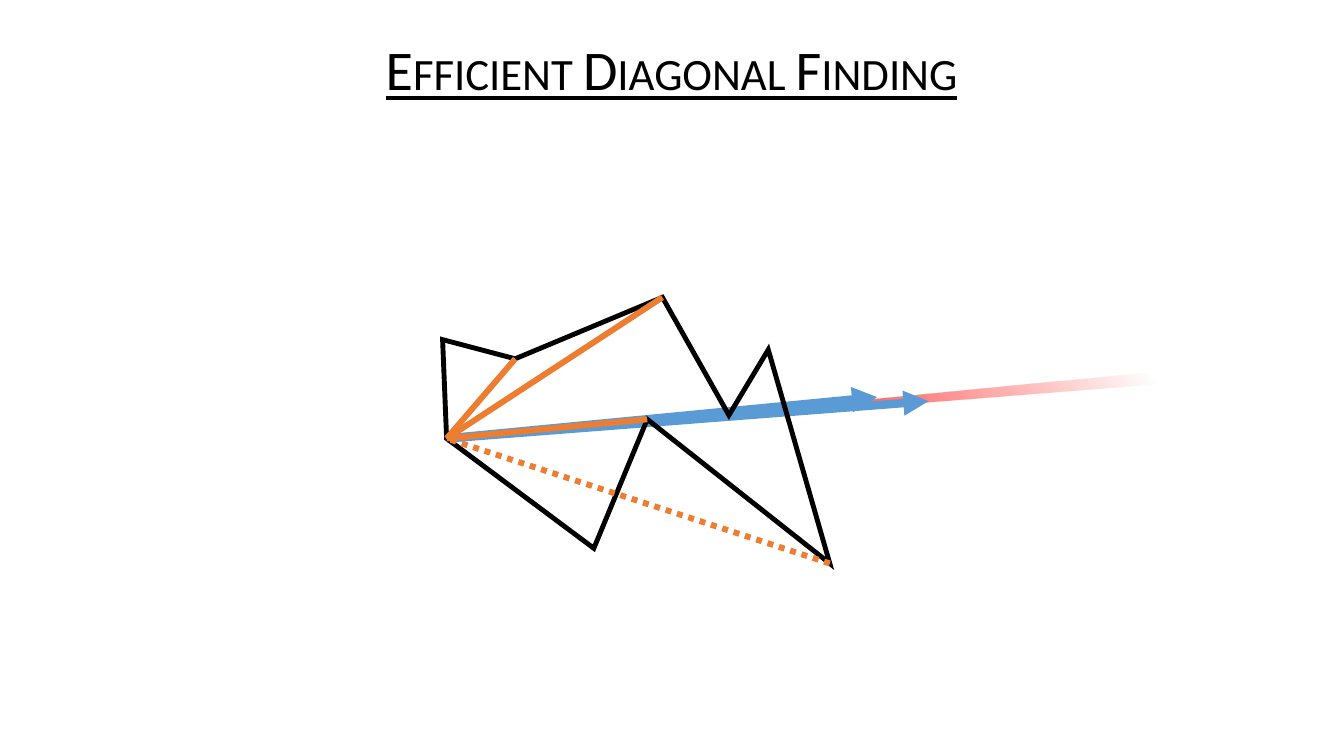
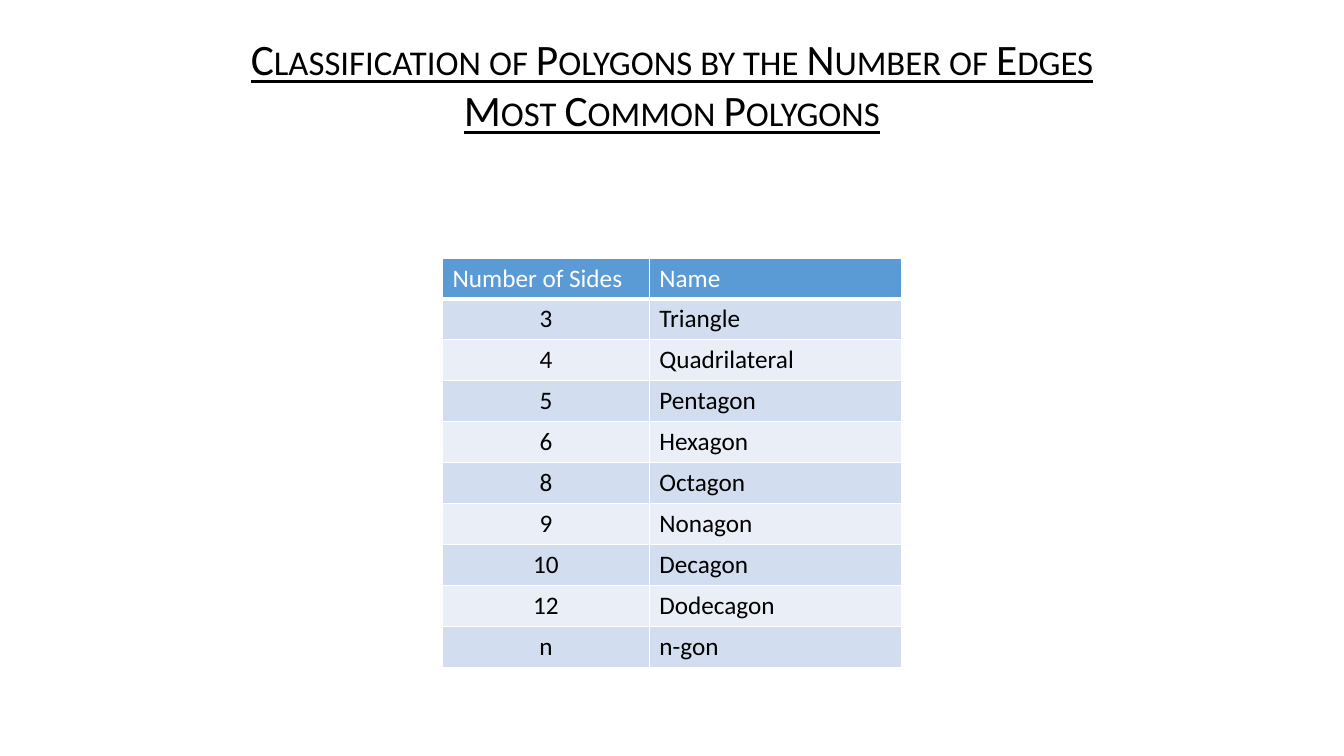
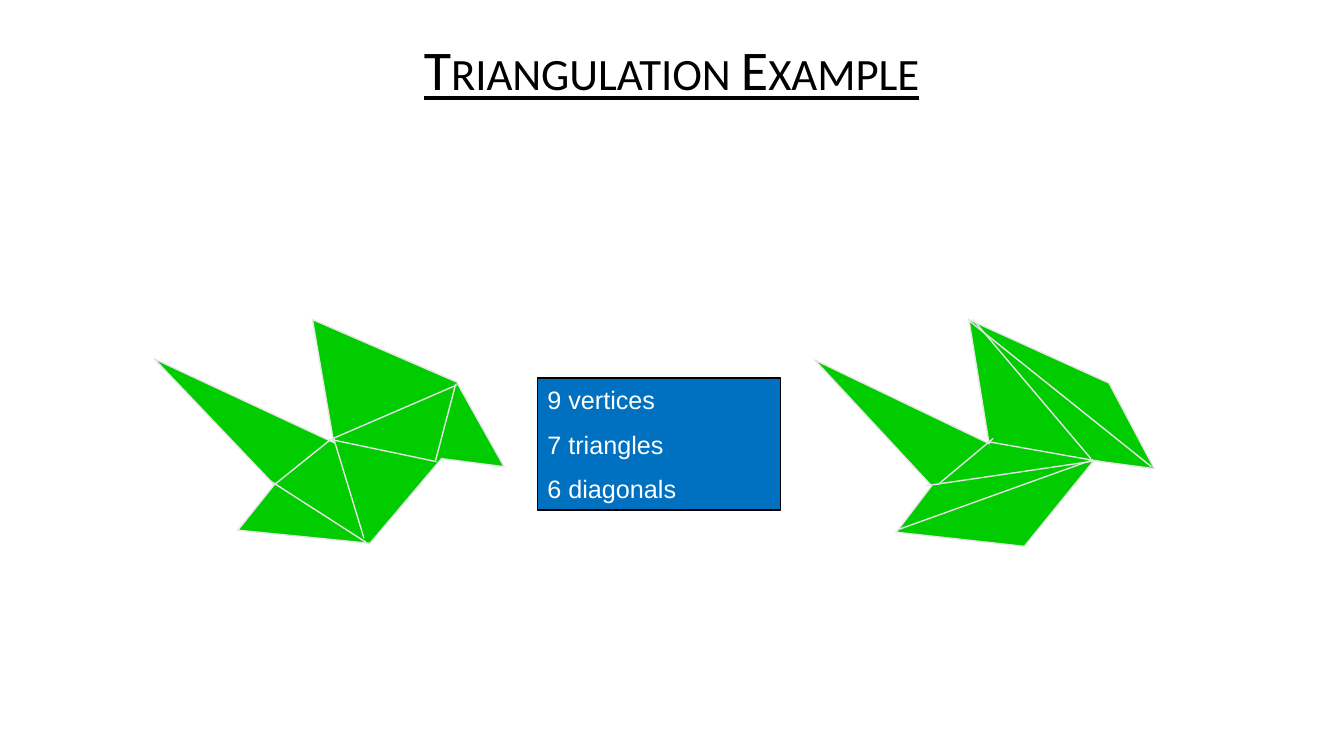
from lxml import etree
from pptx import Presentation
from pptx.dml.color import RGBColor
from pptx.enum.dml import MSO_LINE_DASH_STYLE as DASH
from pptx.enum.shapes import MSO_CONNECTOR, MSO_SHAPE
from pptx.enum.text import MSO_ANCHOR as ANCHOR, MSO_AUTO_SIZE as AUTO, PP_ALIGN as ALIGN
from pptx.oxml import parse_xml
from pptx.oxml.ns import nsdecls, qn
from pptx.util import Pt

PX = 9144  # 100 px to the inch
SLIDE_W, SLIDE_H = 1333, 750
TITLE_ONLY = 5


class Theme:
    black, white, gray = "000000", "FFFFFF", "E7E6E6"
    blue, orange, red, green, box = "5B9BD5", "ED7D31", "FF0000", "00CC00", "0070C0"
    bands = ("D2DEEF", "EAEFF7")
    font, box_font = "Calibri", "Arial"
    title_size, long_title_size, text_size = 40, 31, 18
    edge, diagonal, ray, thin = 3.5, 4.25, 6, 1


# Slide 1
FINDING_TITLE = ["Efficient Diagonal Finding"]
POLYGON = [(439, 337), (443, 435), (589, 544), (642, 416), (823, 559),
           (762, 347), (723, 412), (657, 295), (511, 356)]
APEX = 1
DIAGONALS = [(8, None), (3, None), (7, None), (4, DASH.ROUND_DOT)]
RAY_TIPS = [(870, 394), (921, 398)]
BEAM = [(1335, 367), (1334, 351), (447, 436)]
BEAM_STOPS = [(0, 100), (24, 100), (78, 0)]  # position and opacity, percent
BEAM_ANGLE = 320

# Slide 2
CLASS_TITLE = ["Classification of Polygons by the Number of Edges", "Most Common Polygons"]
NAMES = [("Number of Sides", "Name"), ("3", "Triangle"), ("4", "Quadrilateral"),
         ("5", "Pentagon"), ("6", "Hexagon"), ("8", "Octagon"), ("9", "Nonagon"),
         ("10", "Decagon"), ("12", "Dodecagon"), ("n", "n-gon")]
TABLE_BOX = (439, 256, 455, 406)
COLUMNS = (205, 250)

# Slide 3
EXAMPLE_TITLE = ["Triangulation Example"]
TRIANGULATIONS = [
    {"outline": [(153, 356), (331, 439), (310, 317), (453, 379), (500, 463),
                 (438, 455), (367, 539), (236, 526), (272, 481)],
     "diagonals": [((328, 436), (453, 382)), ((452, 381), (432, 457)),
                   ((328, 436), (433, 458)), ((272, 481), (328, 436)),
                   ((361, 534), (331, 435)), ((363, 538), (268, 477))]},
    {"outline": [(808, 357), (981, 440), (961, 317), (1100, 380), (1145, 465),
                 (1085, 457), (1016, 542), (889, 528), (924, 482)],
     "diagonals": [((965, 317), (1082, 455)), ((961, 318), (1142, 463)),
                   ((918, 482), (1088, 457)), ((930, 481), (985, 435)),
                   ((1092, 458), (979, 438)), ((1084, 456), (892, 525))]},
]
COUNTS = ["9 vertices", "7 triangles", "6 diagonals"]
COUNTS_BOX = (533, 375, 241, 131)


def emu(*lengths):
    return [n * PX for n in lengths]


def rgb(color):
    return RGBColor.from_string(color)


def write(tf, lines, font, para=None):
    """Fill a text frame, one paragraph a line, with font and paragraph formats."""
    color = font["color"]
    for i, line in enumerate(lines):
        p = tf.paragraphs[0] if i == 0 else tf.add_paragraph()
        for name, value in (para or {}).items():
            setattr(p, name, value)
        r = p.add_run()
        r.text = line
        for name, value in font.items():
            if name != "color":
                setattr(r.font, name, value)
        r.font.color.rgb = rgb(color)


def text_font(color, name=Theme.font):
    return {"name": name, "size": Pt(Theme.text_size), "bold": False, "color": color}


def new_slide(prs, title, box=(174, 29, 984, 85), size=Theme.title_size, spacing=0.9):
    slide = prs.slides.add_slide(prs.slide_layouts[TITLE_ONLY])
    sp = slide.shapes.title
    sp.left, sp.top, sp.width, sp.height = emu(*box)
    tf = sp.text_frame
    tf.word_wrap, tf.auto_size, tf.vertical_anchor = True, AUTO.NONE, ANCHOR.MIDDLE
    write(tf, title,
          {"name": Theme.font, "size": Pt(size), "underline": True, "color": Theme.black},
          {"alignment": ALIGN.CENTER, "line_spacing": spacing, "space_before": Pt(10)})
    for p in tf.paragraphs:
        p.runs[0].font._element.set("cap", "small")
    return slide


def set_line(sp, color, width):
    sp.line.color.rgb = rgb(color)
    sp.line.width = Pt(width)


def add_line(shapes, start, end, color, width, dash=None, arrow=False):
    sp = shapes.add_connector(MSO_CONNECTOR.STRAIGHT, *emu(*start, *end))
    set_line(sp, color, width)
    if dash:
        sp.line.dash_style = dash
    if arrow:
        etree.SubElement(sp.line._get_or_add_ln(), qn("a:tailEnd"), type="triangle")
    etree.SubElement(sp._element.spPr, qn("a:effectLst"))


def add_polygon(shapes, points, fill=None, line=None):
    builder = shapes.build_freeform(*points[0], scale=PX)
    builder.add_line_segments(points[1:], close=True)
    sp = builder.convert_to_shape()
    sp.shadow.inherit = False
    if fill:
        sp.fill.solid()
        sp.fill.fore_color.rgb = rgb(fill)
    else:
        sp.fill.background()
    if line:
        set_line(sp, *line)
        etree.SubElement(sp.line._get_or_add_ln(), qn("a:miter"), lim="800000")
    else:
        sp.line.fill.background()
    return sp


def fade(sp, color, stops, angle):
    """Replace an empty fill by a gradient of one colour with varying opacity."""
    gs = "".join(
        f'<a:gs pos="{pos * 1000}"><a:srgbClr val="{color}">'
        f'<a:alpha val="{opacity * 1000}"/></a:srgbClr></a:gs>' for pos, opacity in stops)
    grad = parse_xml(f'<a:gradFill {nsdecls("a")} rotWithShape="1"><a:gsLst>{gs}</a:gsLst>'
                     f'<a:lin ang="{angle * 60000}" scaled="0"/></a:gradFill>')
    spPr = sp._element.spPr
    spPr.replace(spPr.find(qn("a:noFill")), grad)


def set_borders(cell, color, bottom):
    tcPr = cell._tc.get_or_add_tcPr()
    for side, width in (("L", 1), ("R", 1), ("T", 1), ("B", bottom)):
        tcPr.append(parse_xml(
            f'<a:ln{side} {nsdecls("a")} w="{Pt(width)}"><a:solidFill>'
            f'<a:srgbClr val="{color}"/></a:solidFill></a:ln{side}>'))


def finding_slide(prs):
    shapes = new_slide(prs, FINDING_TITLE).shapes
    fade(add_polygon(shapes, BEAM), Theme.red, BEAM_STOPS, BEAM_ANGLE)
    apex = POLYGON[APEX]
    for tip in RAY_TIPS:
        add_line(shapes, apex, tip, Theme.blue, Theme.ray, arrow=True)
    add_polygon(shapes, POLYGON, line=(Theme.black, Theme.edge))
    for vertex, dash in DIAGONALS:
        add_line(shapes, POLYGON[vertex], apex, Theme.orange, Theme.diagonal, dash)


def classification_slide(prs):
    slide = new_slide(prs, CLASS_TITLE, (133, 29, 1067, 121), Theme.long_title_size, 0.7)
    table = slide.shapes.add_table(len(NAMES), len(COLUMNS), *emu(*TABLE_BOX)).table
    for column, width in zip(table.columns, COLUMNS):
        column.width = width * PX
    for i, row in enumerate(NAMES):
        header = i == 0
        for j, text in enumerate(row):
            cell = table.cell(i, j)
            set_borders(cell, Theme.white, 3 if header else 1)
            cell.fill.solid()
            cell.fill.fore_color.rgb = rgb(Theme.blue if header else Theme.bands[(i - 1) % 2])
            centred = j == 0 and not header
            write(cell.text_frame, [text], text_font(Theme.white if header else Theme.black),
                  {"alignment": ALIGN.CENTER if centred else ALIGN.LEFT})


def example_slide(prs):
    shapes = new_slide(prs, EXAMPLE_TITLE).shapes
    style = (Theme.gray, Theme.thin)
    for bird in TRIANGULATIONS:
        group = shapes.add_group_shape().shapes
        add_polygon(group, bird["outline"], Theme.green, style)
        for start, end in bird["diagonals"]:
            add_line(group, start, end, *style)
    sp = shapes.add_shape(MSO_SHAPE.RECTANGLE, *emu(*COUNTS_BOX))
    sp.shadow.inherit = False
    sp.fill.solid()
    sp.fill.fore_color.rgb = rgb(Theme.box)
    set_line(sp, Theme.black, Theme.thin)
    tf = sp.text_frame
    tf.word_wrap, tf.vertical_anchor = True, ANCHOR.MIDDLE
    write(tf, COUNTS, text_font(Theme.white, Theme.box_font),
          {"alignment": ALIGN.LEFT, "space_before": Pt(10)})
    tf.paragraphs[0].space_before = Pt(0)


def main():
    prs = Presentation()
    prs.slide_width, prs.slide_height = emu(SLIDE_W, SLIDE_H)
    for build in (finding_slide, classification_slide, example_slide):
        build(prs)
    prs.save("out.pptx")


if __name__ == "__main__":
    main()
